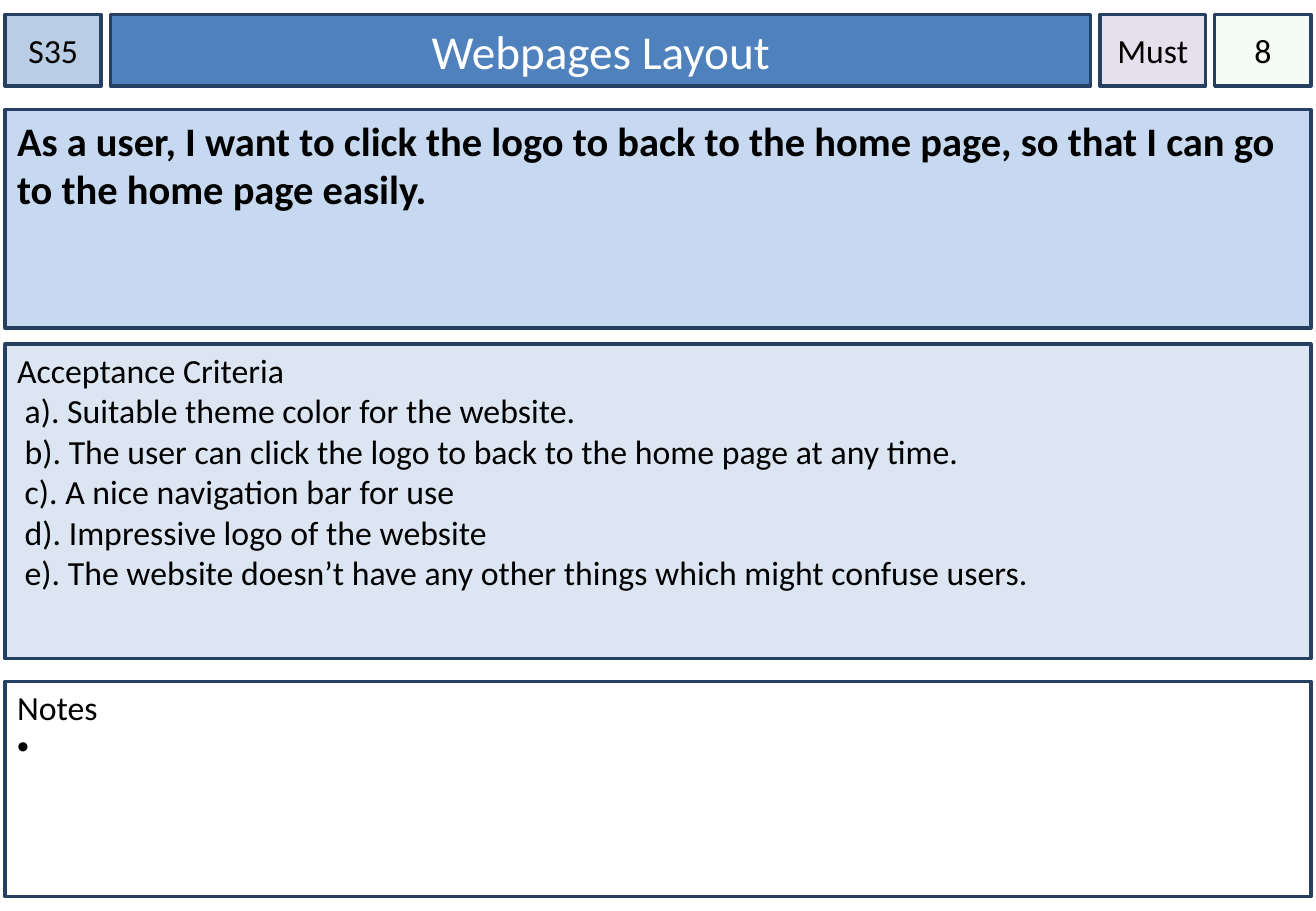
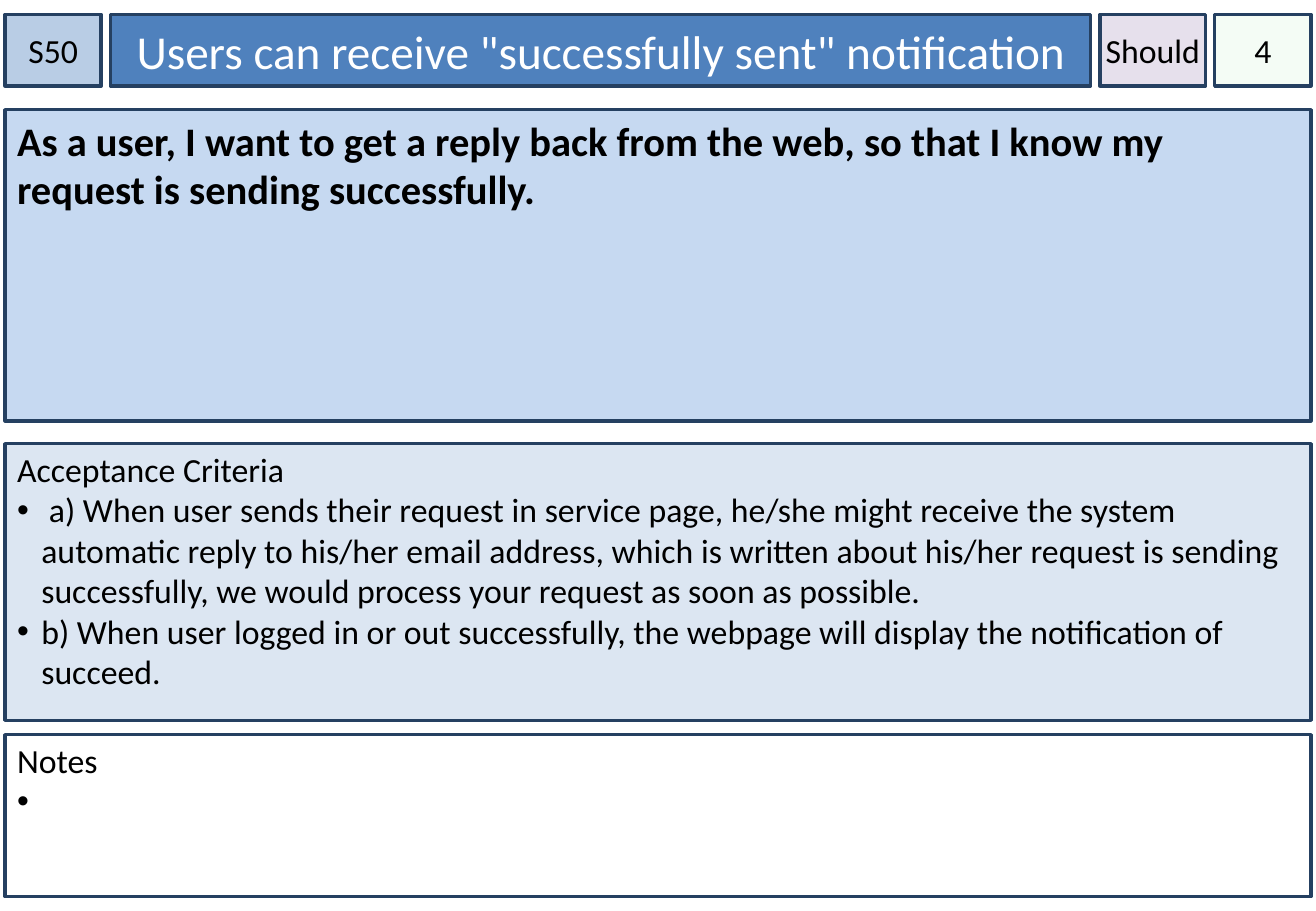
import pptx
import pptx.util
import pptx.dml.color
import pptx.enum.shapes
import pptx.enum.text
import pptx.oxml
import pptx.oxml.ns

Pt = pptx.util.Pt
Align = pptx.enum.text.PP_ALIGN
Anchor = pptx.enum.text.MSO_ANCHOR

COLORS = {
    "line": "254061",
    "text": "000000",
    "title_text": "FFFFFF",
    "code": "B9CDE5",
    "title": "4F81BD",
    "priority": "E6E0EC",
    "points": "CCF0CD",
    "story": "C6D9F1",
    "criteria": "DCE6F2",
    "notes": "FFFFFF",
}
FONT = "Calibri"
PAGE_WIDTH, PAGE_HEIGHT = 780, 540
MARGIN = 3
FULL_WIDTH = PAGE_WIDTH - 2 * MARGIN
HEADER_TOP, HEADER_HEIGHT, HEADER_GAP = 8.5, 42.5, 5.5
HEADER_WIDTHS = {"code": 57, "title": 581, "priority": 62.5, "points": 57}
HEADER_INSETS = (0, 3.6, 0, 3.6)
STORY_INSETS = (7.2, 3.6, 7.2, 3.6)
LIST_INSETS = (7.2, 3, 7.2, 3.6)
BULLET_INDENT = 14.4
POINTS_OPACITY = 20

CARDS = [
    {
        "code": "S35",
        "title": "Webpages Layout",
        "priority": "Must",
        "points": "8",
        "story": "As a user, I want to click the logo to back to the home page, "
                 "so that I can go to the home page easily.",
        "criteria": [
            " a). Suitable theme color for the website.",
            " b). The user can click the logo to back to the home page at any time.",
            " c). A nice navigation bar for use",
            " d). Impressive logo of the website",
            " e). The website doesn’t have any other things which might confuse users.",
        ],
        "criteria_bulleted": False,
        "panels": {"story": (65, 129.5), "criteria": (204, 186.5), "notes": (404, 127.5)},
    },
    {
        "code": "S50",
        "title": "Users can receive \"successfully sent\" notification",
        "priority": "Should",
        "points": "4",
        "story": "As a user, I want to get a reply back from the web, "
                 "so that I know my request is sending successfully.",
        "criteria": [
            " a) When user sends their request in service page, he/she might receive "
            "the system automatic reply to his/her email address, which is written about "
            "his/her request is sending successfully, we would process your request as "
            "soon as possible.",
            "b) When user logged in or out successfully, the webpage will display the "
            "notification of succeed.",
        ],
        "criteria_bulleted": True,
        "panels": {"story": (65, 184.5), "criteria": (263, 164), "notes": (435.5, 96)},
    },
]


def rgb(name):
    return pptx.dml.color.RGBColor.from_string(COLORS[name])


def set_opacity(box, percent):
    color = box.element.spPr.find(".//" + pptx.oxml.ns.qn("a:srgbClr"))
    color.append(pptx.oxml.parse_xml(
        f'<a:alpha {pptx.oxml.ns.nsdecls("a")} val="{percent * 1000}"/>'))


def add_bullet(para):
    properties = para._p.get_or_add_pPr()
    properties.set("marL", str(Pt(BULLET_INDENT)))
    properties.set("indent", str(-Pt(BULLET_INDENT)))
    properties.append(pptx.oxml.parse_xml(
        f'<a:buFont {pptx.oxml.ns.nsdecls("a")} typeface="Arial"/>'))
    properties.append(pptx.oxml.parse_xml(
        f'<a:buChar {pptx.oxml.ns.nsdecls("a")} char="•"/>'))


def add_box(page, fill, place, lines, insets, size=20, color="text", bold=False,
            align=Align.LEFT, anchor=Anchor.TOP, wrap=True, bulleted=False):
    box = page.shapes.add_shape(
        pptx.enum.shapes.MSO_SHAPE.RECTANGLE, *(Pt(length) for length in place))
    box.shadow.inherit = False
    box.fill.solid()
    box.fill.fore_color.rgb = rgb(fill)
    box.line.color.rgb = rgb("line")
    box.line.width = Pt(2)
    frame = box.text_frame
    frame.word_wrap = wrap
    frame.vertical_anchor = anchor
    (frame.margin_left, frame.margin_top,
     frame.margin_right, frame.margin_bottom) = (Pt(inset) for inset in insets)
    frame.text = "\n".join(lines)
    for index, para in enumerate(frame.paragraphs):
        para.alignment = align
        if bulleted and index > 0:
            add_bullet(para)
        para.font.name = FONT
        para.font.size = Pt(size)
        para.font.bold = bold
        para.font.color.rgb = rgb(color)
    return box


def add_header(page, card):
    left = MARGIN
    for name, width in HEADER_WIDTHS.items():
        is_title = name == "title"
        box = add_box(
            page, name, (left, HEADER_TOP, width, HEADER_HEIGHT), [card[name]],
            STORY_INSETS if is_title else HEADER_INSETS,
            size=28 if is_title else 20,
            color="title_text" if is_title else "text",
            align=Align.CENTER, anchor=Anchor.MIDDLE, wrap=name != "priority")
        if name == "points":
            set_opacity(box, POINTS_OPACITY)
        left += width + HEADER_GAP


def add_panels(page, card):
    places = {name: (MARGIN, top, FULL_WIDTH, height)
              for name, (top, height) in card["panels"].items()}
    add_box(page, "story", places["story"], [card["story"]], STORY_INSETS,
            size=24, bold=True)
    add_box(page, "criteria", places["criteria"],
            ["Acceptance Criteria", *card["criteria"]], LIST_INSETS,
            bulleted=card["criteria_bulleted"])
    add_box(page, "notes", places["notes"], ["Notes", " "], LIST_INSETS, bulleted=True)


def main():
    deck = pptx.Presentation()
    deck.slide_width, deck.slide_height = Pt(PAGE_WIDTH), Pt(PAGE_HEIGHT)
    for card in CARDS:
        page = deck.slides.add_slide(deck.slide_layouts[6])
        add_header(page, card)
        add_panels(page, card)
    deck.save("out.pptx")


if __name__ == "__main__":
    main()
